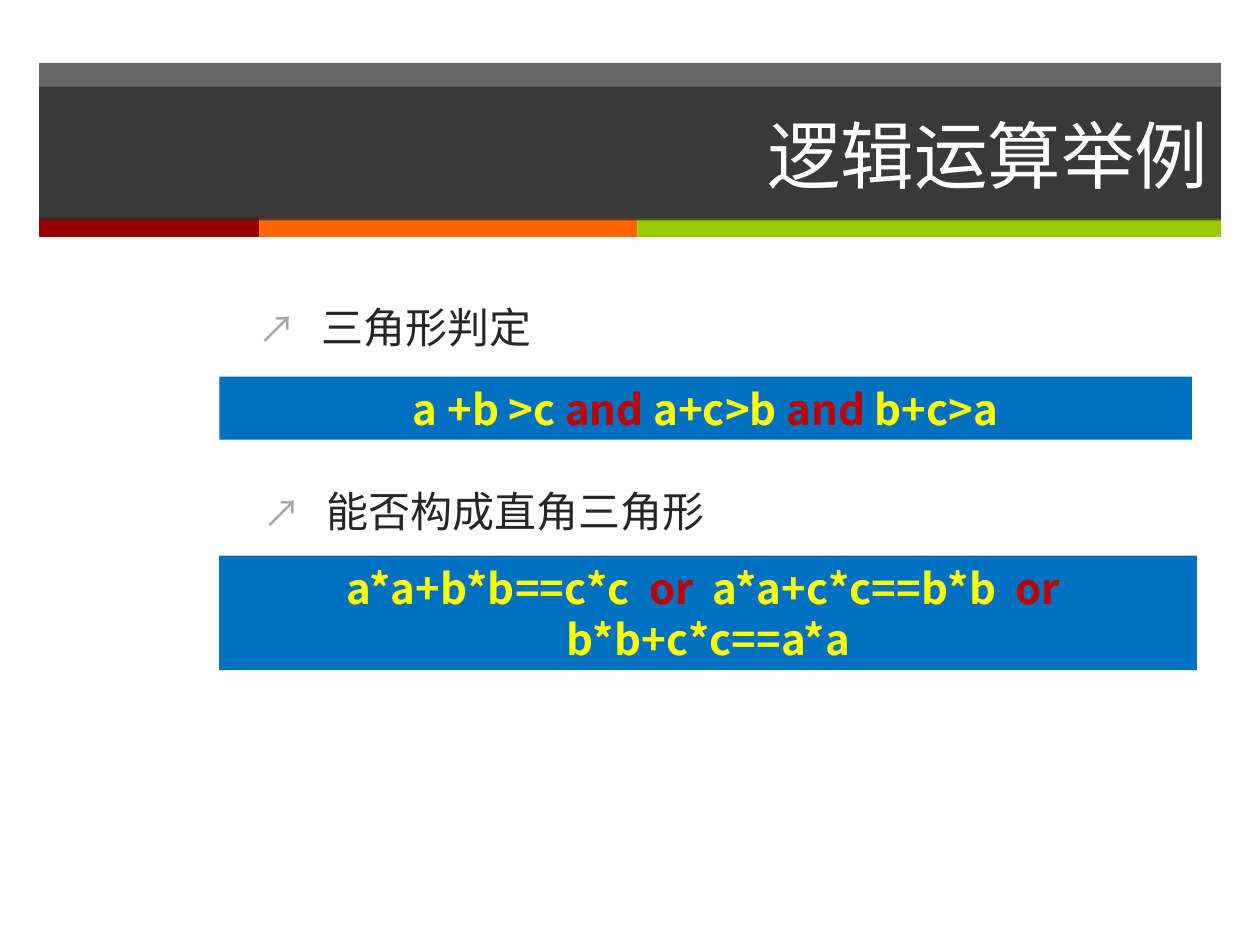
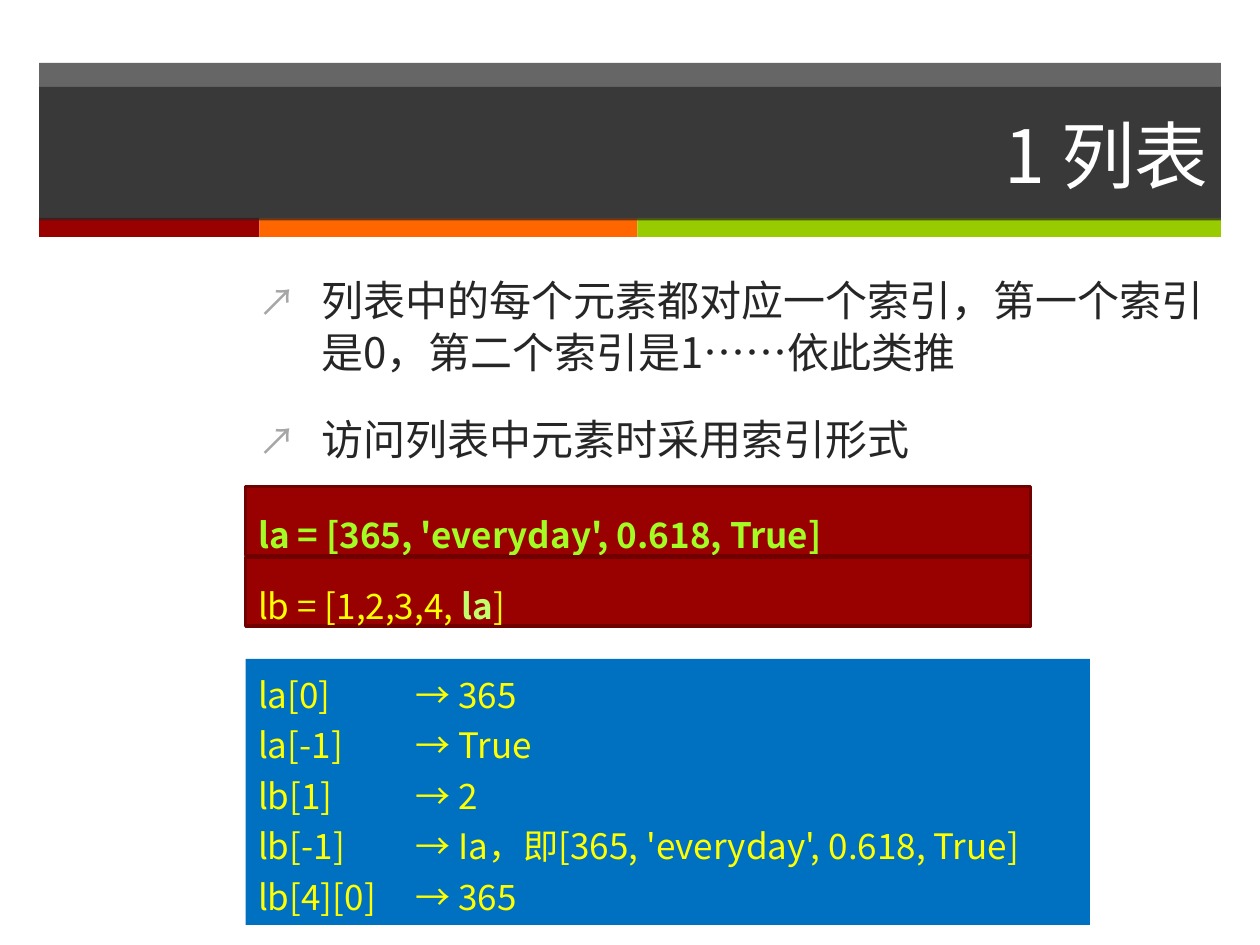
from lxml.etree import SubElement
from pptx import Presentation
from pptx.dml.color import RGBColor
from pptx.enum.shapes import MSO_SHAPE
from pptx.enum.text import MSO_ANCHOR, MSO_AUTO_SIZE, PP_ALIGN
from pptx.oxml.ns import qn
from pptx.util import Inches, Pt

FONT = "Noto Sans CJK SC"
DARK, GREY, WHITE = "262626", "A6A6A6", "FFFFFF"
RED, ORANGE, GREEN = "990000", "FF6600", "99CC00"
BLUE, YELLOW, KEYWORD = "0070C0", "FFFF00", "C00000"
LIST_EDGE, LIME, PALE_LIME = "710000", "A3FC24", "C2FD6D"


def paint(fill, color, opacity=None):
    fill.solid()
    fill.fore_color.rgb = RGBColor.from_string(color)
    if opacity:
        rgb = fill.fore_color._xFill[0]
        SubElement(rgb, qn("a:alpha"), val=str(opacity * 1000))


def write(shape, paragraphs, size=24, color=DARK, bold=False, align=PP_ALIGN.LEFT,
          anchor=MSO_ANCHOR.TOP, pitch=None, before=0, bullet=None, tab=None):
    """Each paragraph is a string or a list of (text, colour, bold) runs."""
    frame = shape.text_frame
    frame.word_wrap = True
    frame.auto_size = MSO_AUTO_SIZE.NONE
    frame.vertical_anchor = anchor
    for index, content in enumerate(paragraphs):
        paragraph = frame.add_paragraph() if index else frame.paragraphs[0]
        properties = paragraph._p.get_or_add_pPr()
        if bullet:
            properties.set("marL", str(Inches(0.5)))
            properties.set("indent", str(-Inches(0.5)))
            SubElement(SubElement(properties, qn("a:buClr")), qn("a:srgbClr"), val=GREY)
            SubElement(properties, qn("a:buSzPct"), val="90000")
            SubElement(properties, qn("a:buFont"), typeface=FONT)
            SubElement(properties, qn("a:buChar"), char=bullet)
        if tab:
            stops = SubElement(properties, qn("a:tabLst"))
            SubElement(stops, qn("a:tab"), pos=str(Inches(tab)), algn="l")
        paragraph.alignment = align
        if pitch:
            paragraph.line_spacing = Pt(pitch)
        if index and before:
            paragraph.space_before = Pt(before)
        runs = [(content, color, bold)] if isinstance(content, str) else content
        for text, run_color, run_bold in runs:
            run = paragraph.add_run()
            run.text = text
            run.font.size = Pt(size)
            run.font.bold = run_bold
            run.font.name = FONT
            paint(run.font.fill, run_color)
            SubElement(run._r.get_or_add_rPr(), qn("a:ea"), typeface=FONT)


deck = Presentation()
deck.slide_width, deck.slide_height = Inches(10), Inches(7.5)
layout = deck.slide_layouts[5]
for placeholder in list(layout.placeholders)[1:]:
    placeholder.element.getparent().remove(placeholder.element)

# Slides with their titles
slides = []
for heading in ("逻辑运算举例", "1 列表"):
    slide = deck.slides.add_slide(layout)
    title = slide.shapes.title
    title.left, title.top = Inches(0.31), Inches(0.69)
    title.width, title.height = Inches(9.38), Inches(1.06)
    paint(title.fill, DARK, opacity=70)
    write(title, [heading], size=42, color=WHITE, align=PP_ALIGN.RIGHT,
          anchor=MSO_ANCHOR.MIDDLE)
    slides.append(slide)
logic, lists = slides

# Header band and colour strips, shared through the layout
bands = [(0.31, 0.5, 9.38, 1.24, DARK, 70),
         (0.31, 1.73, 1.75, 0.15, RED, None),
         (2.06, 1.73, 3, 0.15, ORANGE, None),
         (5.06, 1.73, 4.63, 0.15, GREEN, None)]
header = [logic.shapes.add_shape(MSO_SHAPE.RECTANGLE, *map(Inches, band[:4]))
          for band in bands]
for depth, (strip, band) in enumerate(zip(header, bands)):
    strip.shadow.inherit = False
    strip.line.fill.background()
    paint(strip.fill, band[4], opacity=band[5])
    layout.shapes.element.insert(2 + depth, strip.element)

# Bulleted statements
statements = [
    (logic, (1.95, 2.33, 7.51, 0.57), ["三角形判定"]),
    (logic, (1.99, 3.79, 7.51, 0.57), ["能否构成直角三角形"]),
    (lists, (1.95, 2.12, 7.74, 4.37),
     ["列表中的每个元素都对应一个索引，第一个索引是0，第二个索引是1……依此类推",
      "访问列表中元素时采用索引形式"]),
]
for slide, place, points in statements:
    statement = slide.shapes.add_textbox(*map(Inches, place))
    write(statement, points, pitch=29.7, before=20, bullet="↗")

# Code panels
triangle = [("a +b >c ", YELLOW, True), ("and ", KEYWORD, True),
            ("a+c>b ", YELLOW, True), ("and ", KEYWORD, True),
            ("b+c>a", YELLOW, True)]
right_triangle = [("a*a+b*b==c*c  ", YELLOW, True), ("or", KEYWORD, True),
                  ("  a*a+c*c==b*b  ", YELLOW, True), ("or ", KEYWORD, True),
                  (" b*b+c*c==a*a", YELLOW, True)]
lookups = ["la[0]\t→ 365", "la[-1]\t→ True", "lb[1]\t→ 2",
           "lb[-1]\t→ Ia，即[365, 'everyday', 0.618, True]", "lb[4][0]\t→ 365"]
la_list = [("la = [365, 'everyday', 0.618, True]", LIME, True)]
lb_list = [("lb = [1,2,3,4, ", YELLOW, False), ("la", PALE_LIME, True),
           ("]", YELLOW, False)]

condition = dict(align=PP_ALIGN.CENTER, anchor=MSO_ANCHOR.MIDDLE, pitch=28.8)
definition = dict(size=20, pitch=36)
panels = [
    (logic, (1.74, 2.99, 7.72, 0.5), BLUE, None, [triangle], condition),
    (logic, (1.74, 4.41, 7.76, 0.91), BLUE, None, [right_triangle], condition),
    (lists, (1.95, 5.23, 6.7, 2.11), BLUE, None, lookups,
     dict(size=20, color=YELLOW, pitch=28.8, tab=1.25)),
    (lists, (1.95, 3.86, 6.23, 0.55), RED, LIST_EDGE, [la_list], definition),
    (lists, (1.95, 4.42, 6.23, 0.55), RED, LIST_EDGE, [lb_list], definition),
]
for slide, place, color, edge, code, style in panels:
    panel = slide.shapes.add_shape(MSO_SHAPE.RECTANGLE, *map(Inches, place))
    panel.shadow.inherit = False
    paint(panel.fill, color)
    if edge:
        paint(panel.line.fill, edge)
        panel.line.width = Pt(2)
    else:
        panel.line.fill.background()
    write(panel, code, **style)

deck.save("out.pptx")
